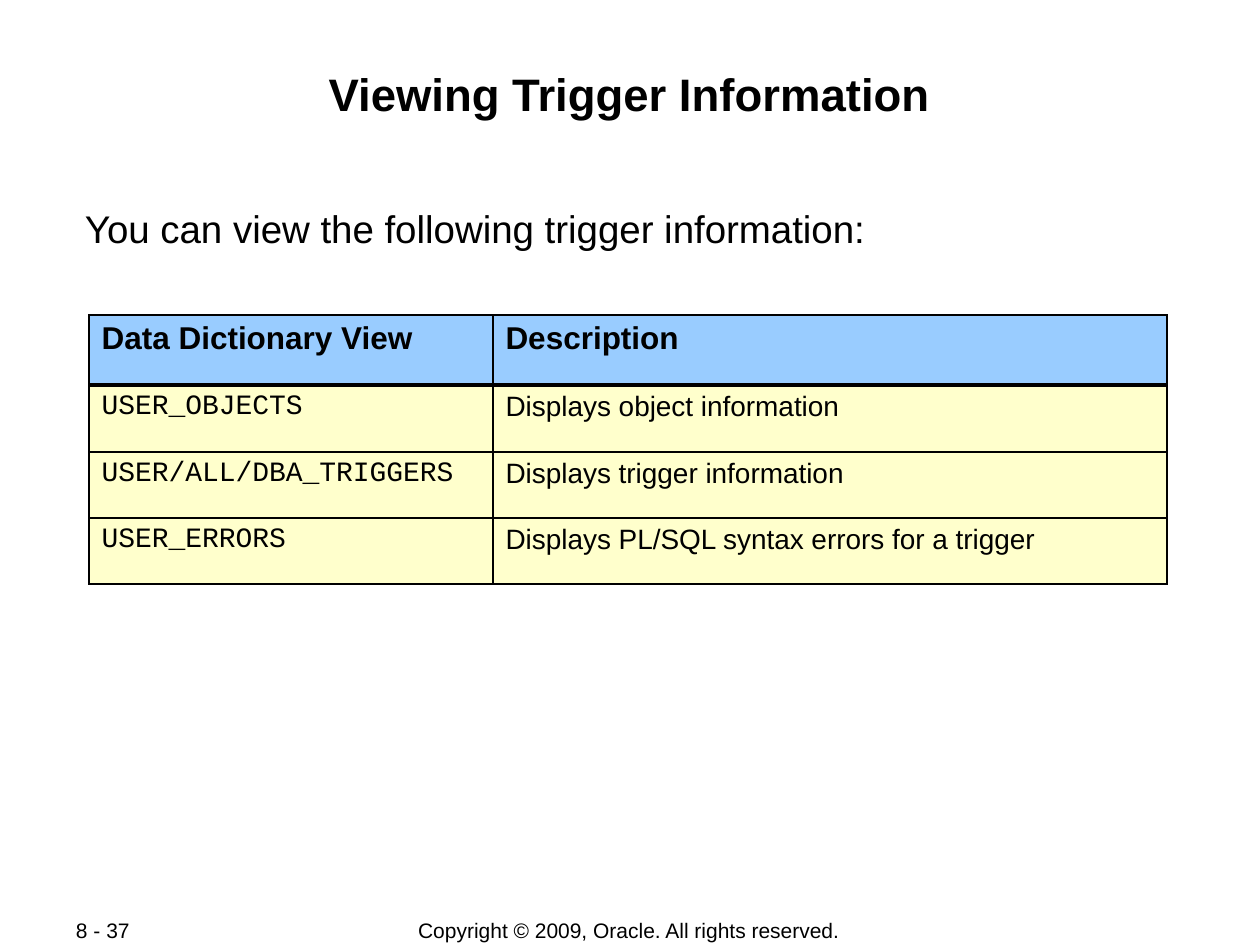
from dataclasses import dataclass

from lxml.etree import SubElement as Sub
from pptx import Presentation
from pptx.dml.color import RGBColor as Rgb
from pptx.enum.text import MSO_ANCHOR as Anchor, PP_ALIGN as Align
from pptx.oxml.ns import qn
from pptx.util import Emu, Pt

PX = 914400 // 126
HUES = {"ink": "000000", "head": "99CCFF", "body": "FFFFCC"}
SANS, MONO = "Arial", "Courier New"
THIN, THICK = 1.08, 2.21


@dataclass
class Label:
    text: str
    box: tuple[int, int, int, int]
    size: int
    align: Align = Align.LEFT
    bold: bool = False
    anchor: Anchor = Anchor.TOP
    pads: tuple[int, int, int, int] = (1, 6, 1, 1)


@dataclass
class Row:
    cells: tuple[str, str]
    high: int
    fonts: tuple[str, str] = (MONO, SANS)
    size: int = 16
    bold: bool = False
    fill: str = "body"
    top: float = THIN
    base: float = THIN


FOOT = {"size": 12, "anchor": Anchor.MIDDLE, "pads": (13, 0, 13, 0)}
LABELS = [
    Label("Copyright © 2009, Oracle. All rights reserved.",
          (346, 917, 566, 26), align=Align.CENTER, **FOOT),
    Label("8 - 37", (63, 917, 134, 26), **FOOT),
    Label("Viewing Trigger Information", (84, 60, 1091, 121), 26,
          Align.CENTER, True),
    Label("You can view the following trigger information:",
          (84, 199, 1091, 241), 22),
]
COLS = (404, 674)
ROWS = [
    Row(("Data Dictionary View", "Description"), 70, (SANS, SANS), 18, True,
        "head", base=THICK),
    Row(("USER_OBJECTS", "Displays object information"), 67, top=THICK),
    Row(("USER/ALL/DBA_TRIGGERS", "Displays trigger information"), 66),
    Row(("USER_ERRORS", "Displays PL/SQL syntax errors for a trigger"), 66),
]


def px(num: int) -> Emu:
    return Emu(num * PX)


def style(para, text: str, **form) -> None:
    run = para.add_run()
    run.text = text
    for key, val in form.items():
        setattr(run.font, key, val)
    run.font.color.rgb = Rgb.from_string(HUES["ink"])


def write(slide, item: Label) -> None:
    frame = slide.shapes.add_textbox(*map(px, item.box)).text_frame
    form = {"word_wrap": True, "vertical_anchor": item.anchor}
    sides = ("left", "top", "right", "bottom")
    form |= {f"margin_{side}": px(pad) for side, pad in zip(sides, item.pads)}
    for key, val in form.items():
        setattr(frame, key, val)
    para = frame.paragraphs[0]
    para.alignment = item.align
    style(para, item.text, name=SANS, size=Pt(item.size), bold=item.bold)


def edge(cell, side: str, width: float) -> None:
    props = cell._tc.get_or_add_tcPr()
    line = Sub(props, qn(f"a:ln{side}"), w=str(Pt(width)))
    Sub(Sub(line, qn("a:solidFill")), qn("a:srgbClr"), val=HUES["ink"])


def grid(slide, left: int, top: int) -> None:
    high = sum(row.high for row in ROWS)
    table = slide.shapes.add_table(
        len(ROWS), len(COLS), px(left), px(top), px(sum(COLS)), px(high)).table
    table.horz_banding = False
    for col, wide in zip(table.columns, COLS):
        col.width = px(wide)
    for line, row in zip(table.rows, ROWS):
        line.height = px(row.high)
        for cell, text, font in zip(line.cells, row.cells, row.fonts):
            # Borders come before the fill in the cell's XML
            for side, width in zip("LRTB", (THIN, THIN, row.top, row.base)):
                edge(cell, side, width)
            cell.fill.solid()
            cell.fill.fore_color.rgb = Rgb.from_string(HUES[row.fill])
            style(cell.text_frame.paragraphs[0], text, name=font,
                  size=Pt(row.size), bold=row.bold)


def main() -> None:
    deck = Presentation()
    deck.slide_width, deck.slide_height = px(1260), px(945)
    slide = deck.slides.add_slide(deck.slide_layouts[6])
    # Footer, title and lead line
    for item in LABELS:
        write(slide, item)
    # Dictionary views
    grid(slide, 89, 315)
    deck.save("out.pptx")


if __name__ == "__main__":
    main()
